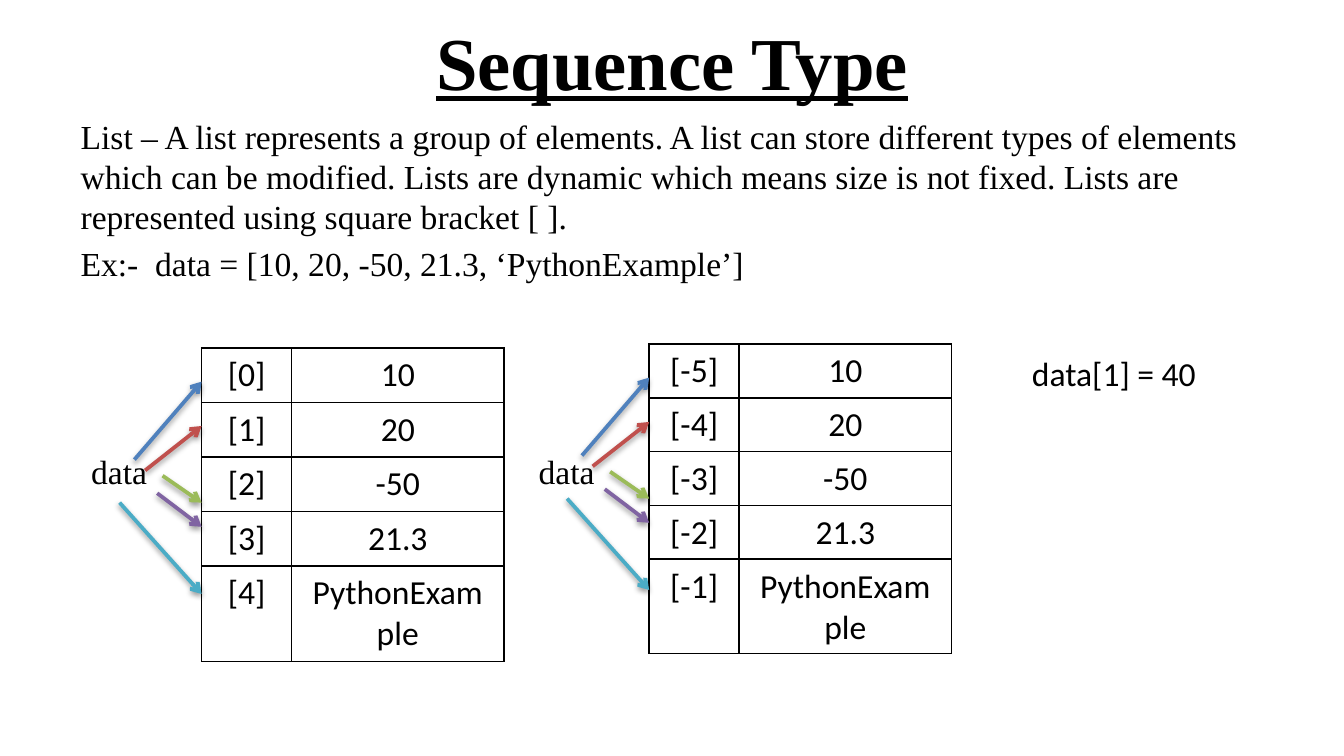
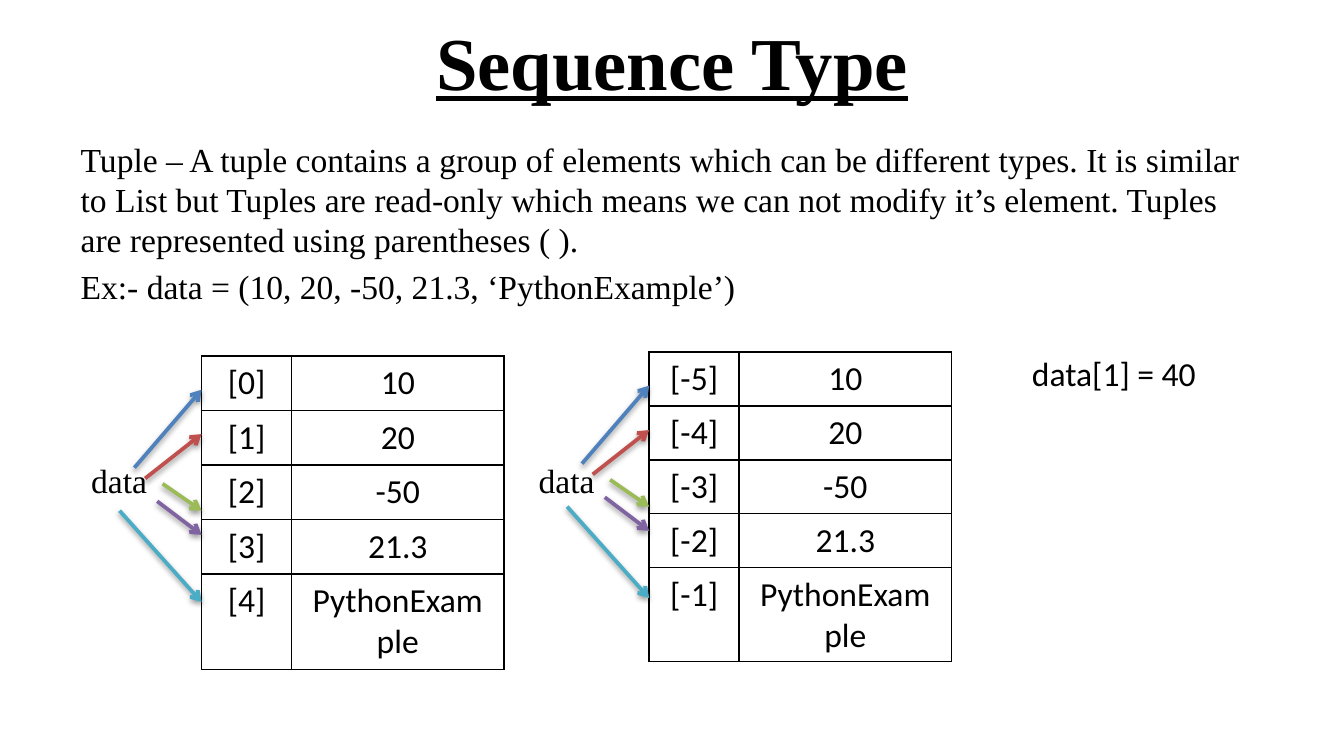
from lxml.etree import SubElement
from pptx import Presentation
from pptx.dml.color import RGBColor as RGB
from pptx.enum.shapes import MSO_CONNECTOR as Connector
from pptx.enum.text import MSO_AUTO_SIZE as AutoSize, PP_ALIGN as Align
from pptx.oxml.ns import qn
from pptx.util import Inches, Pt

COLORS = {"text": "000000", "first": "4F81BD", "second": "C0504D", "third": "9BBB59",
          "fourth": "8064A2", "fifth": "4BACC6"}
SERIF, SANS = "Times New Roman", "Calibri"
HEADING = "Sequence Type"
ASSIGNMENT = "data[1] = 40"
ELEMENTS = ["10", "20", "-50", "21.3", "PythonExample"]
COUNT = len(ELEMENTS)

SEQUENCES = [
    {"definition": "List – A list represents a group of elements. A list can store different "
                   "types of elements which can be modified. Lists are dynamic which means size "
                   "is not fixed. Lists are represented using square bracket [ ].",
     "example": "Ex:-  data = [10, 20, -50, 21.3, ‘PythonExample’]",
     "body_top": 0.81, "diagram_top": 2.59},
    {"definition": "Tuple – A tuple contains a group of elements which can be different types. "
                   "It is similar to List but Tuples are read-only which means we can not modify "
                   "it’s element. Tuples are represented using parentheses ( ).",
     "example": "Ex:- data = (10, 20, -50, 21.3, ‘PythonExample’)",
     "body_top": 0.98, "diagram_top": 2.65},
]

DIAGRAMS = [
    {"left": 1.5, "rise": 0, "indices": range(COUNT)},
    {"left": 4.83, "rise": 0.03, "indices": range(-COUNT, 0)},
]
SLIDE_WIDTH = Inches(10)
SLIDE_HEIGHT = SLIDE_WIDTH * 9 // 16
COLUMNS = (0.67, 1.58)
ROW, TABLE_HEIGHT = 0.4, 2.3
LABEL_OFFSET = (-0.92, 0.72)
POINTERS = [
    ("first", -0.5, 0.83, 0.25),
    ("second", -0.42, 0.91, 0.58),
    ("third", -0.29, 0.95, 1.15),
    ("fourth", -0.33, 1.08, 1.33),
    ("fifth", -0.61, 1.15, 1.83),
]


def style(paragraph, font, size=18, align=None, strong=False):
    paragraph.alignment = align
    for run in paragraph.runs:
        run.font.name = font
        run.font.size = Pt(size)
        run.font.color.rgb = RGB.from_string(COLORS["text"])
        if strong:
            run.font.bold = run.font.underline = True


def place(part, left, top, width, height):
    part.left, part.top, part.width, part.height = map(Inches, (left, top, width, height))


def add_label(slide, wording, font, left, top, width):
    label = slide.shapes.add_textbox(*map(Inches, (left, top, width, ROW)))
    label.text_frame.word_wrap = False
    label.text_frame.auto_size = AutoSize.SHAPE_TO_FIT_TEXT
    label.text_frame.text = wording
    style(label.text_frame.paragraphs[0], font)


def outline(cell):
    properties = cell._tc.get_or_add_tcPr()
    for side in ("lnL", "lnR", "lnT", "lnB"):
        border = SubElement(properties, qn(f"a:{side}"), w=str(Pt(1)))
        fill = SubElement(border, qn("a:solidFill"))
        SubElement(fill, qn("a:srgbClr"), val=COLORS["text"])
    cell.fill.background()


def add_elements(slide, indices, left, top):
    frame = slide.shapes.add_table(
        COUNT, len(COLUMNS), *map(Inches, (left, top, sum(COLUMNS), TABLE_HEIGHT)))
    table = frame.table
    table.first_row = table.horz_banding = False
    for column, width in zip(table.columns, COLUMNS):
        column.width = Inches(width)
    for row, index, element in zip(table.rows, indices, ELEMENTS):
        row.height = Inches(ROW)
        for cell, wording in zip(row.cells, (f"[{index}]", element)):
            cell.text_frame.text = wording
            style(cell.text_frame.paragraphs[0], SANS, align=Align.CENTER)
            outline(cell)
    frame.height = Inches(TABLE_HEIGHT)


def add_pointer(slide, color, start_x, start_y, end_x, end_y):
    pointer = slide.shapes.add_connector(
        Connector.STRAIGHT, *map(Inches, (start_x, start_y, end_x, end_y)))
    pointer.line.color.rgb = RGB.from_string(COLORS[color])
    pointer.line.width = Pt(2)
    properties = pointer._element.spPr
    SubElement(properties.find(qn("a:ln")), qn("a:tailEnd"), type="arrow")
    effects = SubElement(properties, qn("a:effectLst"))
    shadow = SubElement(effects, qn("a:outerShdw"), blurRad=str(Pt(3.1)), dist=str(Pt(1.6)),
                        dir="5400000", rotWithShape="0")
    tint = SubElement(shadow, qn("a:srgbClr"), val=COLORS["text"])
    SubElement(tint, qn("a:alpha"), val="38000")


def add_diagram(slide, diagram, base):
    left, top = diagram["left"], base - diagram["rise"]
    add_elements(slide, diagram["indices"], left, top)
    add_label(slide, "data", SERIF, left + LABEL_OFFSET[0], base + LABEL_OFFSET[1], 0.62)
    for color, start_x, start_y, end_y in POINTERS:
        add_pointer(slide, color, left + start_x, top + start_y, left, top + end_y)


def add_sequence(deck, sequence):
    slide = deck.slides.add_slide(deck.slide_layouts[1])
    title, body = slide.placeholders
    place(title, 0.5, -0.02, 9, 0.94)
    title.text_frame.text = HEADING
    style(title.text_frame.paragraphs[0], SERIF, 40, Align.CENTER, strong=True)

    place(body, 0.5, sequence["body_top"], 9, 1.5)
    body.text_frame.text = "\n".join((sequence["definition"], sequence["example"]))
    for paragraph in body.text_frame.paragraphs:
        style(paragraph, SERIF)
        properties = paragraph._p.get_or_add_pPr()
        properties.set("marL", "0")
        properties.set("indent", "0")
        SubElement(properties, qn("a:buNone"))

    for diagram in DIAGRAMS:
        add_diagram(slide, diagram, sequence["diagram_top"])
    add_label(slide, ASSIGNMENT, SANS, 7.58, 2.58, 1.44)


def main():
    deck = Presentation()
    deck.slide_width, deck.slide_height = SLIDE_WIDTH, SLIDE_HEIGHT
    for sequence in SEQUENCES:
        add_sequence(deck, sequence)
    deck.save("out.pptx")


if __name__ == "__main__":
    main()
